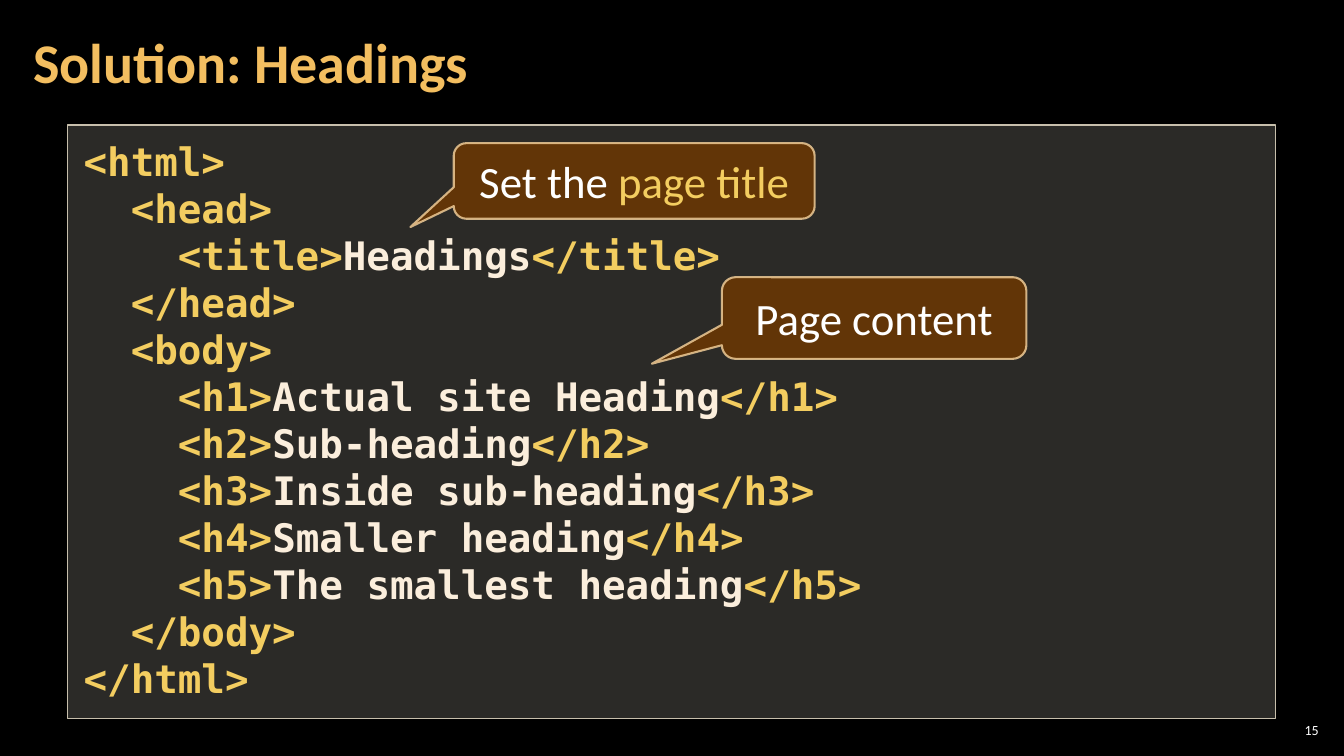
from dataclasses import dataclass

from lxml.etree import SubElement
from pptx import Presentation
from pptx.dml.color import RGBColor as RGB
from pptx.enum.shapes import MSO_SHAPE as Shape
from pptx.enum.text import MSO_ANCHOR as Anchor, PP_ALIGN as Align
from pptx.oxml.ns import qn
from pptx.util import Inches, Pt


@dataclass(frozen=True)
class Theme:
    sans: str = "Calibri"
    mono: str = "DejaVu Sans Mono"
    back: str = "000000"
    white: str = "FFFFFF"
    title: str = "F3BE60"
    tag: str = "F3CD60"
    plain: str = "FBEEDC"
    panel: str = "D9D5C7"
    border: str = "C7BFAC"
    bubble: str = "663606"
    edge: str = "F8D49E"
    title_size: float = 40
    note_size: float = 32
    code_size: float = 28
    code_line: float = 33.6
    page_size: float = 10


class Deck:
    def __init__(self, theme):
        self.theme = theme
        self.prs = Presentation()
        self.prs.slide_width = Inches(13.33)
        self.prs.slide_height = Inches(7.5)
        self.slide = self.prs.slides.add_slide(self.prs.slide_layouts[5])
        fill = self.slide.background.fill
        fill.solid()
        fill.fore_color.rgb = RGB.from_string(theme.back)

    def run(self, para, text, color, size, face=None, bold=False):
        run = para.add_run()
        run.text = text
        font = run.font
        font.name = face or self.theme.sans
        font.size, font.bold = Pt(size), bold
        font.color.rgb = RGB.from_string(color)

    def paint(self, fill, color, alpha=100):
        fill.solid()
        fill.fore_color.rgb = RGB.from_string(color)
        if alpha < 100:
            node = fill._xPr.find(qn("a:solidFill"))[0]
            SubElement(node, qn("a:alpha"), val=str(alpha * 1000))

    def frame(self, shape, anchor, side, top):
        frame = shape.text_frame
        frame.word_wrap = True
        frame.vertical_anchor = anchor
        frame.margin_left = frame.margin_right = Inches(side)
        frame.margin_top = frame.margin_bottom = Inches(top)
        return frame

    def shape(self, kind, box, fill, line, width):
        shape = self.slide.shapes.add_shape(kind, *map(Inches, box))
        shape.shadow.inherit = False
        self.paint(shape.fill, *fill)
        self.paint(shape.line.fill, *line)
        shape.line.width = Pt(width)
        return shape

    def title(self, text, box):
        shape = self.slide.shapes.title
        shape.left, shape.top, shape.width, shape.height = map(Inches, box)
        para = self.frame(shape, Anchor.MIDDLE, 0.12, 0.04).paragraphs[0]
        para.alignment, para.line_spacing = Align.LEFT, 0.9
        self.run(para, text, self.theme.title, self.theme.title_size, bold=True)

    def page(self, text, box):
        shape = self.slide.shapes.add_textbox(*map(Inches, box))
        para = self.frame(shape, Anchor.MIDDLE, 0.04, 0.04).paragraphs[0]
        para.alignment = Align.RIGHT
        self.run(para, text, self.theme.white, self.theme.page_size)

    def code(self, lines, box):
        look = self.theme
        shape = self.shape(Shape.RECTANGLE, box, (look.panel, 20), (look.border,), 1)
        frame = self.frame(shape, Anchor.TOP, 0.16, 0.12)
        for i, parts in enumerate(lines):
            para = frame.add_paragraph() if i else frame.paragraphs[0]
            para.alignment = Align.LEFT
            para.line_spacing = Pt(look.code_line)
            # Tags and plain text alternate, tags first
            for j, part in enumerate(parts):
                color = look.plain if j % 2 else look.tag
                self.run(para, part, color, look.code_size, look.mono, True)

    def note(self, parts, box, tip):
        look = self.theme
        shape = self.shape(Shape.ROUNDED_RECTANGULAR_CALLOUT, box,
                           (look.bubble, 95), (look.edge, 80), 1.5)
        for i, value in enumerate((*tip, 0.167)):
            shape.adjustments[i] = value
        para = self.frame(shape, Anchor.MIDDLE, 0.1, 0.05).paragraphs[0]
        para.alignment = Align.CENTER
        for text, color in parts:
            self.run(para, text, color, look.note_size)


def item(tag, text):
    return f"    <{tag}>", text, f"</{tag}>"


def main():
    look = Theme()
    deck = Deck(look)

    # Title and page number
    deck.page("15", (12.65, 7.14, 0.47, 0.21))
    deck.title("Solution: Headings", (0.21, 0.04, 10.47, 1.21))

    # HTML listing
    heads = ("Actual site Heading", "Sub-heading", "Inside sub-heading",
             "Smaller heading", "The smallest heading")
    lines = [
        ("<html>",),
        ("  <head>",),
        item("title", "Headings"),
        ("  </head>",),
        ("  <body>",),
        *(item(f"h{n}", text) for n, text in enumerate(heads, 1)),
        ("  </body>",),
        ("</html>",),
    ]
    deck.code(lines, (0.67, 1.24, 11.98, 5.89))

    # Callouts
    deck.note([("Set the ", look.white), ("page title", look.tag)],
              (4.5, 1.42, 3.58, 0.75), (-0.62, 0.61))
    deck.note([("Page content", look.white)],
              (7.16, 2.75, 3.02, 0.81), (-0.73, 0.56))

    deck.prs.save("out.pptx")


if __name__ == "__main__":
    main()
